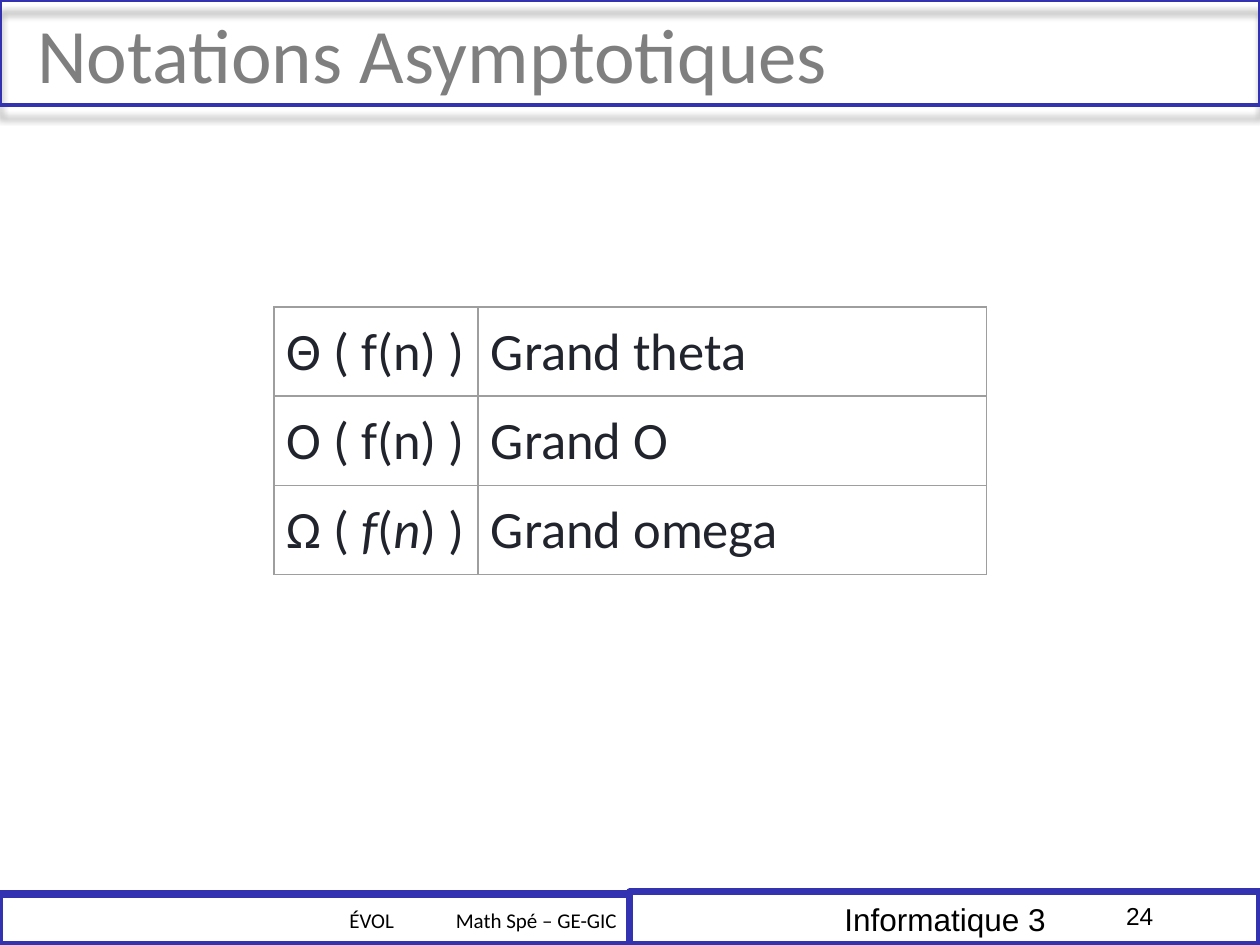
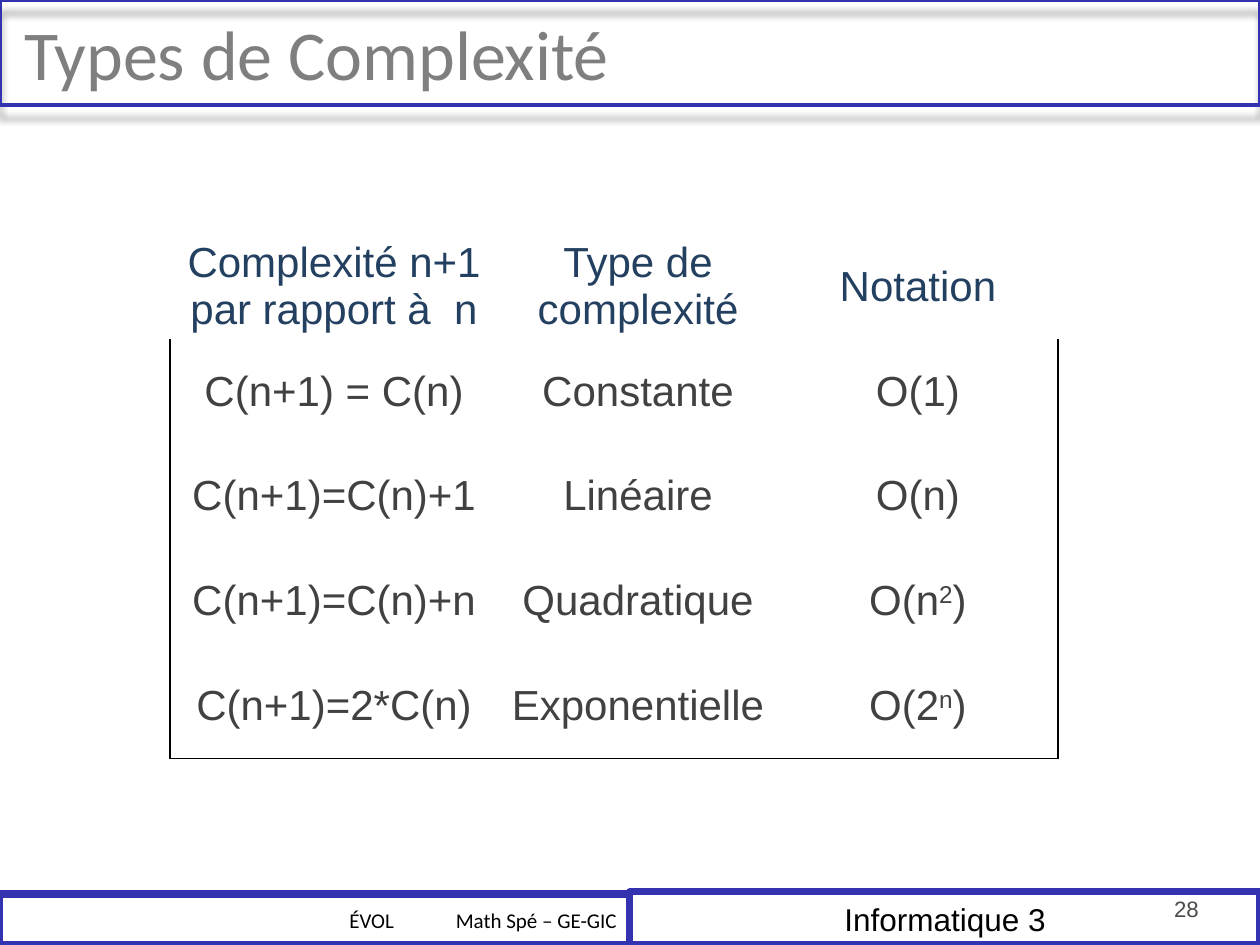
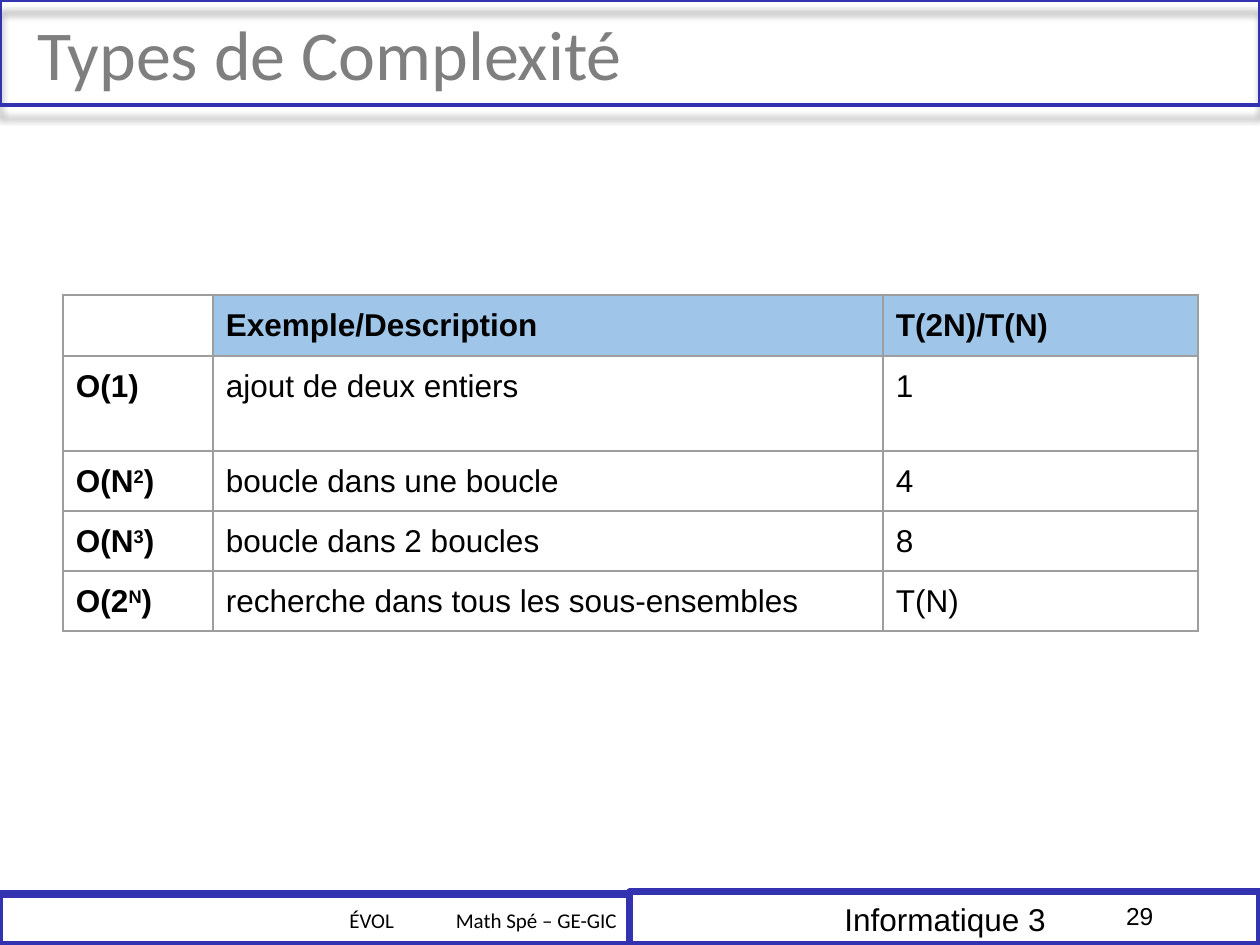
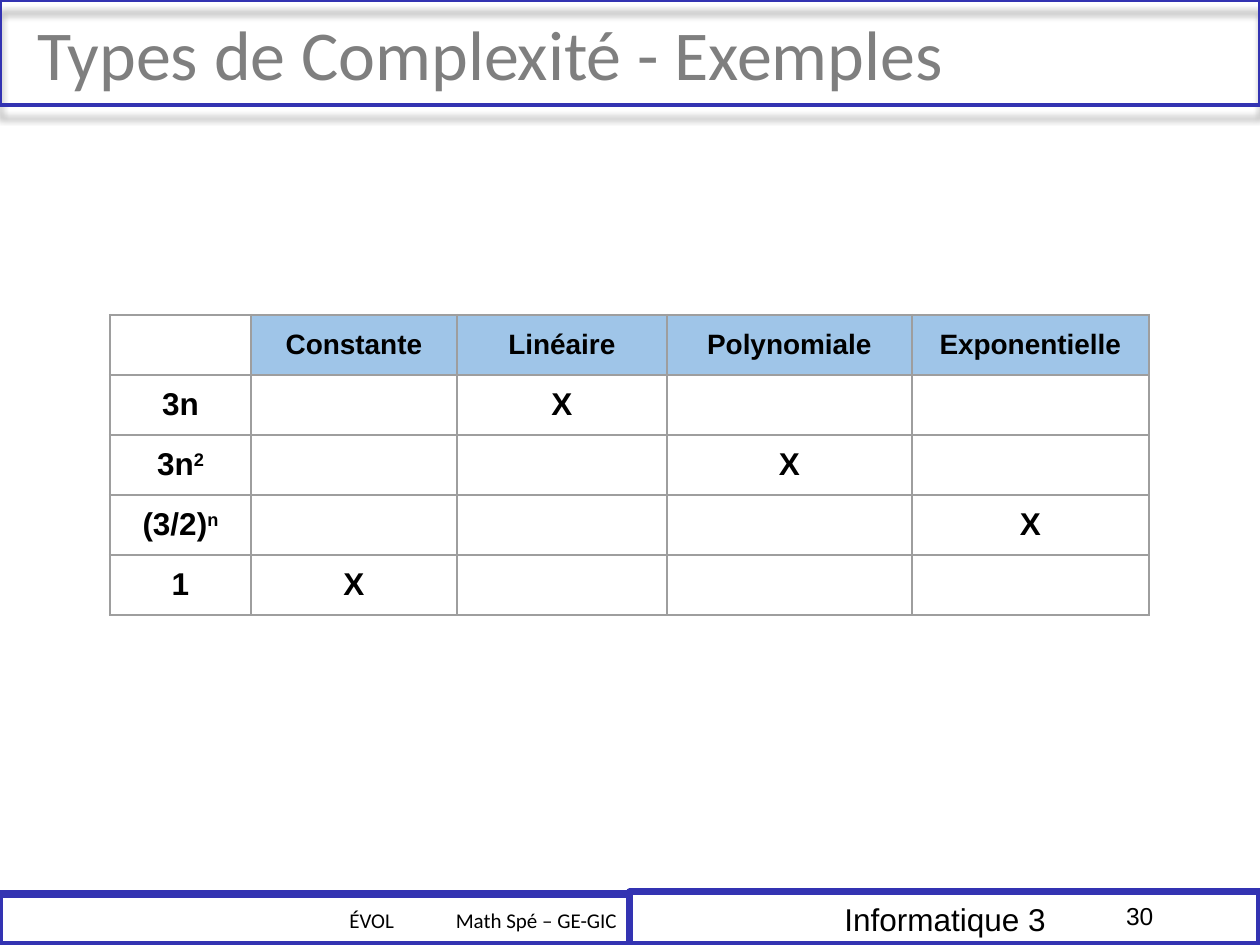
from dataclasses import dataclass, field

from lxml import etree
from pptx import Presentation
from pptx.dml.color import RGBColor
from pptx.enum.shapes import MSO_SHAPE
from pptx.enum.text import MSO_ANCHOR, MSO_AUTO_SIZE, PP_ALIGN
from pptx.oxml.ns import qn
from pptx.util import Pt

RECT = MSO_SHAPE.RECTANGLE
TOP, MIDDLE = MSO_ANCHOR.TOP, MSO_ANCHOR.MIDDLE
LEFT, CENTER, RIGHT = PP_ALIGN.LEFT, PP_ALIGN.CENTER, PP_ALIGN.RIGHT
NO_FIT = MSO_AUTO_SIZE.NONE
TITLE_ONLY = 5

WIDE, HIGH = 1260, 945
HALF = WIDE // 2
HEAD = 105
FOOT = 892
PAD = (13, 13, 13, 13)
FLAT = (13, 6, 13, 6)
NONE = (0, 0, 0, 0)
SIDES = ("left", "top", "right", "bottom")

HUES = {
    "blue": "3333B2",
    "gray": "7F7F7F",
    "black": "000000",
    "ink": "21242C",
    "navy": "244061",
    "coal": "414141",
    "stone": "4C4946",
    "grid": "9E9E9E",
    "sky": "9FC5E8",
}

# In a cell, a pair of marks encloses a raised or a slanted part.
RAISE, SLANT = "^", "~"

PLAIN = {"name": "Arial", "size": Pt(18), "bold": False, "color": "black"}
BOLD = {"bold": True}


@dataclass
class Bar:
    left: int
    top: int
    width: int
    height: int
    line: float
    text: str = ""
    font: dict = field(default_factory=dict)
    align: PP_ALIGN = CENTER
    pad: tuple = FLAT
    shade: bool = False


@dataclass
class Grid:
    left: int
    top: int
    cols: list[int]
    rows: list[int]
    cells: list[list[str]]
    font: dict
    head: dict = field(default_factory=dict)
    side: dict = field(default_factory=dict)
    pad: tuple = PAD
    align: PP_ALIGN = LEFT
    anchor: MSO_ANCHOR = TOP
    space: float = 0
    fill: str = ""
    hue: str = "grid"
    line: float = 1.5
    tray: bool = False


@dataclass
class Page:
    title: str
    num: str
    grid: Grid
    size: int = 40
    pad: tuple = PAD
    num_font: dict = field(default_factory=lambda: {**PLAIN, "size": Pt(14)})
    num_pad: tuple = FLAT
    num_align: PP_ALIGN = LEFT


SMALL = {**PLAIN, "name": "Calibri", "size": Pt(12)}
BARS = [
    Bar(HALF, FOOT, HALF, HIGH - FOOT, 4, "Informatique 3", PLAIN),
    Bar(0, FOOT + 3, HALF, HIGH - FOOT - 3, 4, "Math Spé – GE-GIC", SMALL, RIGHT),
    Bar(HALF, FOOT, HALF, HIGH - FOOT, 2.75),
    Bar(0, FOOT, HALF, HIGH - FOOT, 2.75, "ÉVOL", SMALL, RIGHT, (13, 9, 236, 6)),
    Bar(0, 0, WIDE, HEAD, 2, shade=True),
]

PAGES = [
    Page(
        "Notations Asymptotiques", "24", size=44,
        grid=Grid(
            274, 307, [204, 509], [89] * 3,
            [
                ["Θ ( f(n) )", "Grand theta"],
                ["O ( f(n) )", "Grand O"],
                ["Ω ( ~f~(~n~) )", "Grand omega"],
            ],
            {**PLAIN, "name": "Calibri", "size": Pt(30), "color": "ink"},
            space=6.4, line=0.75,
        ),
    ),
    Page(
        "Types de Complexité", "28", pad=NONE,
        num_font={**PLAIN, "size": Pt(12.7), "color": "stone"},
        num_pad=NONE, num_align=CENTER,
        grid=Grid(
            170, 234, [328, 280, 280], [105] * 5,
            [
                ["Complexité n+1 par rapport à  n", "Type de complexité", "Notation"],
                ["C(n+1) = C(n)", "Constante", "O(1)"],
                ["C(n+1)=C(n)+1", "Linéaire", "O(n)"],
                ["C(n+1)=C(n)+n", "Quadratique", "O(n^2^)"],
                ["C(n+1)=2*C(n)", "Exponentielle", "O(2^n^)"],
            ],
            {**PLAIN, "size": Pt(24), "color": "coal"}, {"color": "navy"},
            pad=(5, 1, 5, 1), align=CENTER, anchor=MIDDLE,
            hue="black", line=0.75, tray=True,
        ),
    ),
    Page(
        "Types de Complexité", "29",
        grid=Grid(
            63, 295, [150, 670, 315], [61, 95, 60, 60, 60],
            [
                ["", "Exemple/Description", "T(2N)/T(N)"],
                ["O(1)", "ajout de deux entiers", "1"],
                ["O(N^2^)", "boucle dans une boucle", "4"],
                ["O(N^3^)", "boucle dans 2 boucles", "8"],
                ["O(2^N^)", "recherche dans tous les sous-ensembles", "T(N)"],
            ],
            PLAIN, BOLD, BOLD, pad=(13, 13, 13, 9), fill="sky",
        ),
    ),
    Page(
        "Types de Complexité - Exemples", "30",
        grid=Grid(
            110, 315, [141, 206, 210, 245, 237], [60] * 5,
            [
                ["", "Constante", "Linéaire", "Polynomiale", "Exponentielle"],
                ["3n", "", "X", "", ""],
                ["3n^2^", "", "", "X", ""],
                ["(3/2)^n^", "", "", "", "X"],
                ["1", "X", "", "", ""],
            ],
            {**PLAIN, **BOLD}, {"size": Pt(16)}, pad=(13, 11, 13, 11),
            align=CENTER, anchor=MIDDLE, fill="sky",
        ),
    ),
]


def px(*sizes: int) -> list[int]:
    return [round(size * 914400 / 126) for size in sizes]


def rgb(hue: str) -> RGBColor:
    return RGBColor.from_string(HUES[hue])


def node(root, tag: str, **attrs):
    """Add a child element with the given attributes."""
    return etree.SubElement(root, qn(tag), {k: str(v) for k, v in attrs.items()})


def style(font, form: dict) -> None:
    for key, value in form.items():
        if key == "color":
            font.color.rgb = rgb(value)
        else:
            setattr(font, key, value)


def inset(item, pad: tuple) -> None:
    for side, size in zip(SIDES, px(*pad)):
        setattr(item, f"margin_{side}", size)


def write(para, text: str, form: dict, align: PP_ALIGN) -> None:
    """Fill a paragraph, turning marked parts into runs of their own."""
    para.alignment = align
    mark = SLANT if SLANT in text else RAISE
    for i, part in enumerate(text.split(mark)):
        if not part:
            continue
        run = para.add_run()
        run.text = part
        style(run.font, form)
        if i % 2 and mark == SLANT:
            run.font.italic = True
        elif i % 2:
            run._r.get_or_add_rPr().set("baseline", "30000")


def add_bar(slide, bar: Bar):
    shape = slide.shapes.add_shape(RECT, *px(bar.left, bar.top, bar.width, bar.height))
    shape.fill.background()
    shape.line.color.rgb = rgb("blue")
    shape.line.width = Pt(bar.line)
    shape.shadow.inherit = False
    if bar.shade:
        effects = shape.element.spPr.find(qn("a:effectLst"))
        shadow = node(effects, "a:outerShdw", blurRad=Pt(4), dist=Pt(7),
                      dir=5400000, rotWithShape=0)
        node(node(shadow, "a:srgbClr", val=HUES["black"]), "a:alpha", val=40000)
    if bar.text:
        frame = shape.text_frame
        frame.vertical_anchor = MIDDLE
        inset(frame, bar.pad)
        write(frame.paragraphs[0], bar.text, bar.font, bar.align)
    return shape


def edges(grid: Grid, r: int, c: int) -> str:
    """Name the sides of a cell that have a line."""
    if not grid.tray:
        return "LRTB"
    last = r == len(grid.rows) - 1
    return (("L" if r and c == 0 else "")
            + ("R" if r and c == len(grid.cols) - 1 else "")
            + ("B" if last else ""))


def rule(cell, grid: Grid, sides: str) -> None:
    props = cell._tc.get_or_add_tcPr()
    for i, side in enumerate("LRTB"):
        line = node(props, f"a:ln{side}", w=Pt(grid.line))
        if side in sides:
            node(node(line, "a:solidFill"), "a:srgbClr", val=HUES[grid.hue])
        else:
            node(line, "a:noFill")
        props.insert(i, line)


def add_grid(slide, grid: Grid) -> None:
    box = px(grid.left, grid.top, sum(grid.cols), sum(grid.rows))
    table = slide.shapes.add_table(len(grid.rows), len(grid.cols), *box).table
    table.first_row = table.horz_banding = False
    for col, width in zip(table.columns, px(*grid.cols)):
        col.width = width
    for row, height in zip(table.rows, px(*grid.rows)):
        row.height = height
    for r, texts in enumerate(grid.cells):
        for c, text in enumerate(texts):
            cell = table.cell(r, c)
            cell.fill.background()
            if text:
                if grid.fill and r == 0:
                    cell.fill.solid()
                    cell.fill.fore_color.rgb = rgb(grid.fill)
                inset(cell, grid.pad)
                cell.vertical_anchor = grid.anchor
                form = {**grid.font, **({} if r else grid.head), **({} if c else grid.side)}
                para = cell.text_frame.paragraphs[0]
                write(para, text, form, grid.align)
                if grid.space:
                    para.space_before = Pt(grid.space)
            rule(cell, grid, edges(grid, r, c))


def add_title(slide, page: Page) -> None:
    title = slide.shapes.title
    title.left, title.top, title.width, title.height = px(0, 0, 1228, HEAD)
    frame = title.text_frame
    frame.auto_size = NO_FIT
    frame.word_wrap = True
    frame.vertical_anchor = MIDDLE
    inset(frame, page.pad)
    para = frame.paragraphs[0]
    form = {"name": "Calibri", "size": Pt(page.size), "color": "gray"}
    write(para, page.title, form, LEFT)
    props = para._p.get_or_add_pPr()
    for key, size in zip(("marL", "indent"), px(25, -1)):
        props.set(key, str(size))


def add_num(slide, page: Page) -> None:
    frame = slide.shapes.add_textbox(*px(1113, 895, 147, 50)).text_frame
    frame.word_wrap = True
    inset(frame, page.num_pad)
    write(frame.paragraphs[0], page.num, page.num_font, page.num_align)


def main() -> None:
    deck = Presentation()
    deck.slide_width, deck.slide_height = px(WIDE, HIGH)
    layout = deck.slide_layouts[TITLE_ONLY]
    slides = [deck.slides.add_slide(layout) for _ in PAGES]
    for bar in BARS:  # drawn once, then moved to the shared layout
        layout.shapes.element.append(add_bar(slides[0], bar).element)
    for slide, page in zip(slides, PAGES):
        add_title(slide, page)
        add_num(slide, page)
        add_grid(slide, page.grid)
    deck.save("out.pptx")


if __name__ == "__main__":
    main()
